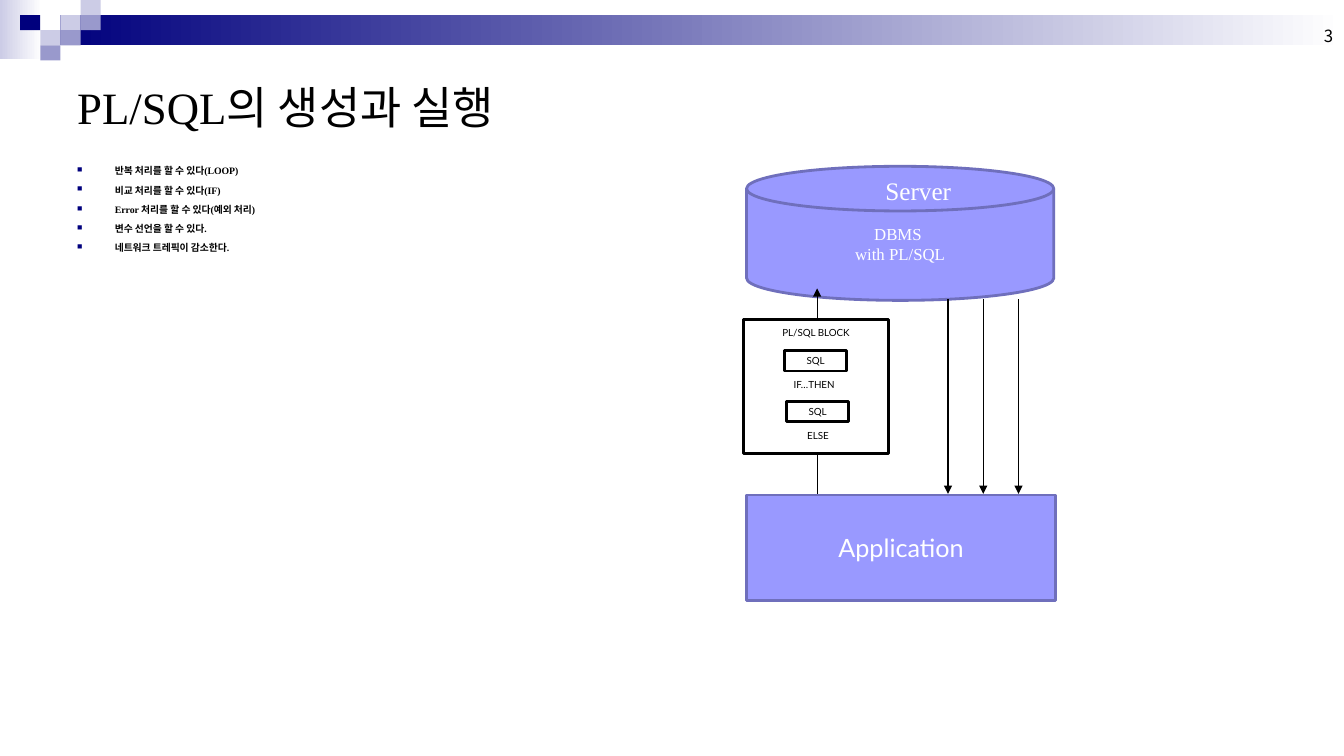
from dataclasses import dataclass

from lxml import etree
from pptx import Presentation
from pptx import util as u
from pptx.dml.color import RGBColor
from pptx.enum import shapes, text
from pptx.oxml import ns

Pt = u.Pt
SHAPE = shapes.MSO_SHAPE
ALIGN = text.PP_ALIGN
ANCHOR = text.MSO_ANCHOR


@dataclass(frozen=True)
class Theme:
    """Colours, fonts and type sizes of the slide."""
    black: str = "000000"
    white: str = "FFFFFF"
    navy: str = "00007D"
    mid: str = "9999CC"
    pale: str = "CCCCE6"
    node: str = "9999FF"
    edge: str = "6F6FBC"
    serif: str = "Times New Roman"
    sans: str = "Lato"
    korean: str = "Noto Sans CJK KR"
    title: int = 32
    heading: int = 18
    label: int = 12
    small: int = 7


THEME = Theme()


def colour(code):
    """Turn a hex code into a colour."""
    return RGBColor.from_string(code)


def add_xml(parent, tag, **attributes):
    """Append a drawing element to a parent."""
    return etree.SubElement(parent, ns.qn(tag), attributes)


def add_span(para, words, size, face, ink=THEME.black, bold=False):
    """Add one formatted run with a Korean fallback font."""
    span = para.add_run()
    span.text = words
    span.font.size = Pt(size)
    span.font.name = face
    span.font.bold = bold
    span.font.color.rgb = colour(ink)
    add_xml(span.font._element, "a:ea", typeface=THEME.korean)


def add_box(page, area, fill, line=None, kind=SHAPE.RECTANGLE):
    """Add a filled shape, shaded to white when the fill is a pair."""
    box = page.shapes.add_shape(kind, *map(Pt, area))
    box.shadow.inherit = False
    if isinstance(fill, tuple):
        box.fill.gradient()
        box.fill.gradient_angle = 0
        for stop, code in zip(box.fill.gradient_stops, fill):
            stop.color.rgb = colour(code)
    else:
        box.fill.solid()
        box.fill.fore_color.rgb = colour(fill)
    if line:
        box.line.color.rgb = colour(line)
        box.line.width = Pt(2)
    else:
        box.line.fill.background()
    return box


def add_labelled_box(page, area, words, size, fill, line=None, ink=THEME.black):
    """Add a box with one centred label."""
    frame = add_box(page, area, fill, line).text_frame
    frame.vertical_anchor = ANCHOR.MIDDLE
    para = frame.paragraphs[0]
    para.alignment = ALIGN.CENTER
    add_span(para, words, size, THEME.sans, ink)


def add_text(page, area, lines, size, face, ink=THEME.black,
             align=ALIGN.LEFT, anchor=ANCHOR.TOP, wrap=True):
    """Add a text box with one paragraph per line."""
    frame = page.shapes.add_textbox(*map(Pt, area)).text_frame
    frame.word_wrap = wrap
    frame.vertical_anchor = anchor
    for index, words in enumerate(lines):
        para = frame.add_paragraph() if index else frame.paragraphs[0]
        para.alignment = align
        add_span(para, words, size, face, ink)


def add_bullets(page, area, lines):
    """Add the square-bulleted list."""
    frame = page.shapes.add_textbox(*map(Pt, area)).text_frame
    frame.word_wrap = True
    for index, words in enumerate(lines):
        para = frame.add_paragraph() if index else frame.paragraphs[0]
        para.line_spacing = 0.8
        para.space_before = Pt(7)
        props = para._p.get_or_add_pPr()
        props.set("marL", str(Pt(27)))
        props.set("indent", str(-Pt(27)))
        add_xml(add_xml(props, "a:buClr"), "a:srgbClr", val=THEME.navy)
        add_xml(props, "a:buSzPct", val="75000")
        add_xml(props, "a:buChar", char="■")
        add_span(para, words, THEME.small, THEME.serif, bold=True)


def add_arrow(page, x, start, end):
    """Add a vertical arrow."""
    arrow = page.shapes.add_connector(
        shapes.MSO_CONNECTOR.STRAIGHT, Pt(x), Pt(start), Pt(x), Pt(end))
    arrow.line.color.rgb = colour(THEME.black)
    arrow.line.width = Pt(0.75)
    add_xml(arrow.line._get_or_add_ln(), "a:tailEnd", type="triangle")
    add_xml(arrow._element.spPr, "a:effectLst")


def add_title(page, words):
    """Place and format the title."""
    title = page.shapes.title
    title.left, title.top, title.width, title.height = map(Pt, (48, 36, 864, 80.6))
    frame = title.text_frame
    frame.auto_size = text.MSO_AUTO_SIZE.NONE
    frame.vertical_anchor = ANCHOR.MIDDLE
    frame.paragraphs[0].alignment = ALIGN.LEFT
    add_span(frame.paragraphs[0], words, THEME.title, THEME.serif)


def add_banner(page):
    """Draw the shaded bar and the mosaic at the top."""
    add_box(page, (0, 0, 30, 42), (THEME.pale, THEME.white))
    add_box(page, (43.2, 10.8, 916.8, 21.6), (THEME.navy, THEME.white))
    mosaic = {THEME.pale: [(3, 1), (4, 0), (2, 2)],
              THEME.mid: [(4, 1), (3, 2), (2, 3)],
              THEME.navy: [(1, 1)]}
    for fill, cells in mosaic.items():
        for column, row in cells:
            add_box(page, (column * 14.4, row * 10.8, 14.4, 10.8), fill)


def add_diagram(page):
    """Draw the server, the application and the block between them."""
    add_box(page, (533.5, 118.8, 219.6, 95.8), THEME.node, THEME.edge,
            SHAPE.FLOWCHART_MAGNETIC_DISK)
    add_text(page, (625.7, 121.7, 61.2, 28.8), ["Server"], THEME.heading,
             THEME.serif, THEME.white, wrap=False)
    add_text(page, (604, 156.2, 78.5, 36), ["DBMS ", "with PL/SQL"], THEME.label,
             THEME.serif, THEME.white, ALIGN.CENTER, wrap=False)
    add_labelled_box(page, (533.5, 353.5, 221, 75.6), "Application",
                     THEME.heading, THEME.node, THEME.edge, THEME.white)
    for index in range(3):
        add_arrow(page, 677.5 + index * 25.2, 213.8, 352.8)
    add_arrow(page, 584, 352.8, 206)

    add_box(page, (531.4, 228.2, 103.7, 95.8), THEME.white, THEME.black)
    for left, top in ((560.9, 250.6), (562.3, 286.6)):
        add_labelled_box(page, (left, top, 43.9, 14.4), "SQL", THEME.small,
                         THEME.white, THEME.black)
    captions = {"PL/SQL BLOCK": (534.2, 232.6, 97.9, 9.4),
                "IF…THEN": (535, 269.3, 93.6, 11.5),
                "ELSE": (537.8, 305.3, 93.6, 11.5)}
    for words, area in captions.items():
        add_labelled_box(page, area, words, THEME.small, THEME.white)


def main():
    """Build the slide and save it."""
    deck = Presentation()
    deck.slide_width, deck.slide_height = Pt(960.5), Pt(540)
    page = deck.slides.add_slide(deck.slide_layouts[5])
    add_banner(page)
    add_text(page, (735.8, 0, 224, 36), ["3"], THEME.label, THEME.korean,
             align=ALIGN.RIGHT, anchor=ANCHOR.BOTTOM)
    add_title(page, "PL/SQL의 생성과 실행")
    add_bullets(page, (48, 116, 642, 64), [
        "반복 처리를 할 수 있다(LOOP)",
        "비교 처리를 할 수 있다(IF)",
        "Error 처리를 할 수 있다(예외 처리)",
        "변수 선언을 할 수 있다.",
        "네트워크 트레픽이 감소한다.",
    ])
    add_diagram(page)
    deck.save("out.pptx")


if __name__ == "__main__":
    main()
